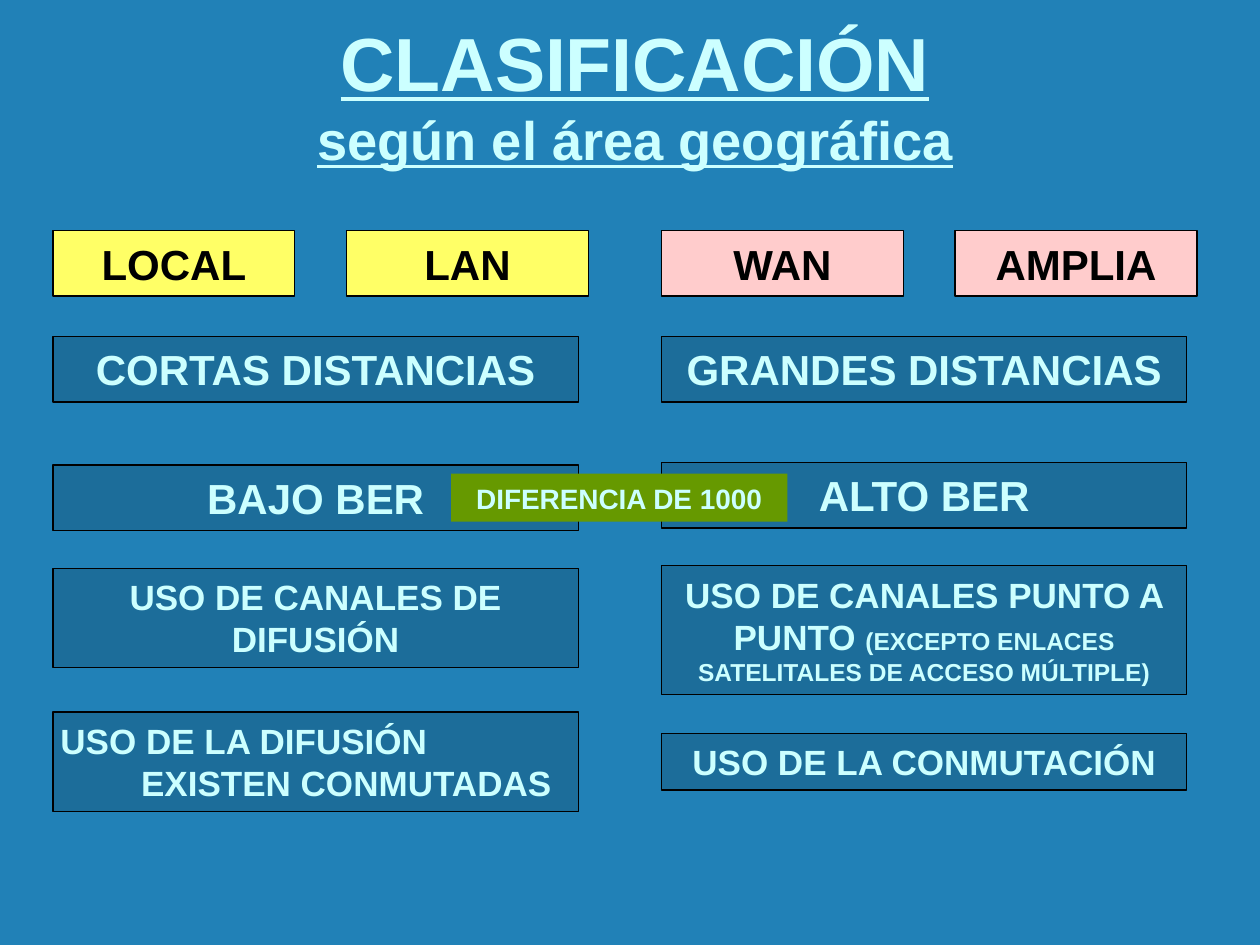
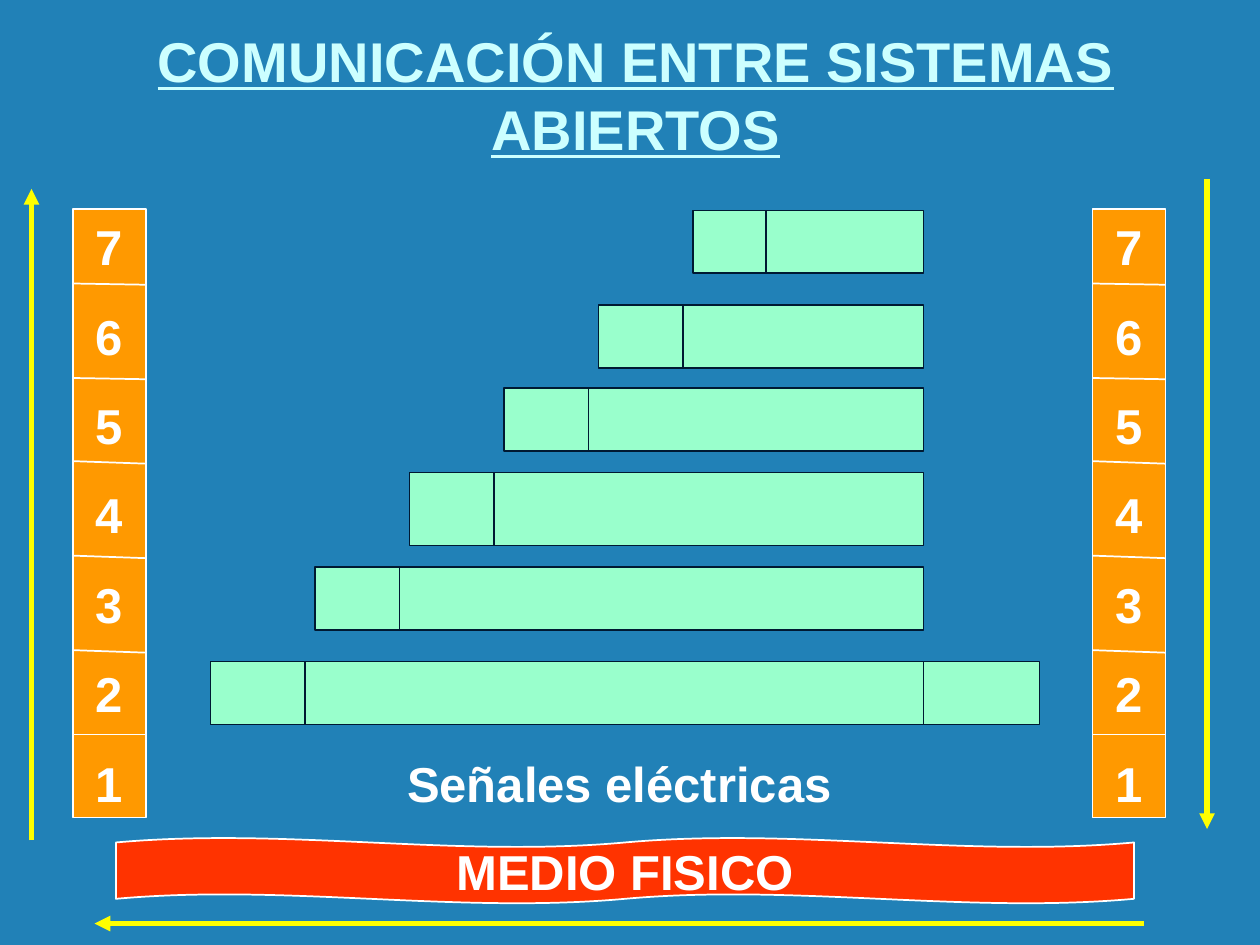
from lxml.etree import SubElement
from pptx import Presentation
from pptx.dml.color import RGBColor
from pptx.enum.shapes import MSO_CONNECTOR, MSO_SHAPE
from pptx.enum.text import MSO_ANCHOR, PP_ALIGN
from pptx.oxml.ns import qn
from pptx.util import Inches, Pt

BLUE, PANEL, ICE = "2181B7", "1C6D9A", "CCFFFF"
YELLOW, PINK, GREEN = "FFFF66", "FFCCCC", "669900"
ORANGE, RED, MINT = "FF9900", "FF3300", "99FFCC"
NAVY, ARROW, WHITE, BLACK = "001932", "FFFF00", "FFFFFF", "000000"


def rgb(color):
    return RGBColor.from_string(color)


def write(tf, paragraphs, size=24, color=ICE, align=PP_ALIGN.CENTER,
          anchor=MSO_ANCHOR.TOP, underline=False, gap=0, indents=()):
    tf.word_wrap = True
    tf.vertical_anchor = anchor
    tf.margin_left = tf.margin_right = Inches(0.06)
    tf.margin_top = tf.margin_bottom = Inches(0.06)
    for i, runs in enumerate(paragraphs):
        p = tf.paragraphs[0] if i == 0 else tf.add_paragraph()
        p.alignment = align
        if i and gap:
            p.space_before = Pt(gap)
        if indents:
            p._p.get_or_add_pPr().set("marL", str(Inches(indents[i])))
        for text, run_size in [(runs, size)] if isinstance(runs, str) else runs:
            r = p.add_run()
            r.text = text
            r.font.name = "Arial"
            r.font.size = Pt(run_size)
            r.font.bold = True
            r.font.underline = underline
            r.font.color.rgb = rgb(color)


class Deck:
    def __init__(self):
        self.prs = Presentation()
        self.prs.slide_width, self.prs.slide_height = Inches(10), Inches(7.5)

    def slide(self):
        self.s = self.prs.slides.add_slide(self.prs.slide_layouts[6])
        self.s.background.fill.solid()
        self.s.background.fill.fore_color.rgb = rgb(BLUE)

    def text(self, x, y, w, h, paragraphs, **fmt):
        box = self.s.shapes.add_textbox(*map(Inches, (x, y, w, h)))
        write(box.text_frame, paragraphs, **fmt)

    def title(self, x, y, w, h, paragraphs, **fmt):
        self.text(x, y, w, h, paragraphs, anchor=MSO_ANCHOR.BOTTOM,
                  underline=True, **fmt)

    def shape(self, x, y, w, h, fill, paragraphs=(), line=BLACK, width=0.75,
              kind=MSO_SHAPE.RECTANGLE, **fmt):
        sp = self.s.shapes.add_shape(kind, *map(Inches, (x, y, w, h)))
        sp.shadow.inherit = False
        sp.fill.solid()
        sp.fill.fore_color.rgb = rgb(fill)
        if line:
            sp.line.color.rgb = rgb(line)
            sp.line.width = Pt(width)
        else:
            sp.line.fill.background()
        if paragraphs:
            write(sp.text_frame, paragraphs, **fmt)
        return sp

    def line(self, x1, y1, x2, y2, color, width=1, arrow=False):
        c = self.s.shapes.add_connector(
            MSO_CONNECTOR.STRAIGHT, *map(Inches, (x1, y1, x2, y2)))
        c.line.color.rgb = rgb(color)
        c.line.width = Pt(width)
        if arrow:
            SubElement(c.line._get_or_add_ln(), qn("a:tailEnd"), type="triangle")
        SubElement(c._element.spPr, qn("a:effectLst"))

    def layer_stack(self, x):
        w = 0.58
        self.shape(x, 1.66, w, 4.83, ORANGE, "7654321", line=WHITE, width=1,
                   size=28, color=WHITE, gap=17.5)
        for y, drop in ((2.25, 0.01), (3, 0.01), (3.66, 0.02),
                        (4.41, 0.02), (5.16, 0.02), (5.83, 0)):
            self.line(x, y, x + w, y + drop, WHITE)

    def data_unit(self, left, y, right, h, dividers):
        self.shape(left, y, right - left, h, MINT, line=NAVY, width=1)
        for x in dividers:
            self.line(x, y, x, y + h, NAVY)


def classification(deck):
    deck.slide()
    deck.title(0.5, 0.05, 9.08, 1.37,
               [[("CLASIFICACIÓN", 43)], [("según el área geográfica", 31)]])
    for x, label, fill in ((0.42, "LOCAL", YELLOW), (2.75, "LAN", YELLOW),
                           (5.25, "WAN", PINK), (7.58, "AMPLIA", PINK)):
        deck.shape(x, 1.83, 1.92, 0.52, fill, [label], color=BLACK)

    point_to_point = [("USO DE CANALES PUNTO A PUNTO ", 20),
                      ("(EXCEPTO ENLACES SATELITALES DE ACCESO MÚLTIPLE)", 14)]
    local = ((2.67, 0.52, 24, "CORTAS DISTANCIAS"),
             (3.69, 0.52, 24, "BAJO BER"),
             (4.51, 0.79, 20, "USO DE CANALES DE DIFUSIÓN"))
    wide = ((2.67, 0.52, 24, "GRANDES DISTANCIAS"),
            (3.67, 0.52, 24, "ALTO BER"),
            (4.49, 1.02, 20, point_to_point),
            (5.82, 0.45, 20, "USO DE LA CONMUTACIÓN"))
    for x, features in ((0.42, local), (5.25, wide)):
        for y, h, size, label in features:
            deck.shape(x, y, 4.17, h, PANEL, [label], size=size)
    deck.shape(0.42, 5.65, 4.17, 0.79, PANEL,
               ["USO DE LA DIFUSIÓN", "EXISTEN CONMUTADAS"],
               size=20, align=PP_ALIGN.LEFT, indents=(0, 0.64))
    deck.shape(3.58, 3.76, 2.67, 0.38, GREEN, ["DIFERENCIA DE 1000"],
               line=None, size=16)


def open_systems(deck):
    deck.slide()
    deck.title(0.17, 0.17, 9.75, 1.17,
               ["COMUNICACIÓN ENTRE SISTEMAS ABIERTOS"], size=32)
    for x in (0.58, 8.67):
        deck.layer_stack(x)
    wave = deck.shape(0.92, 6.65, 8.08, 0.52, RED, ["MEDIO FISICO"],
                      line=WHITE, width=1, kind=MSO_SHAPE.DOUBLE_WAVE,
                      size=28, color=WHITE, anchor=MSO_ANCHOR.MIDDLE)
    wave.adjustments[0] = 0.07

    body_end = 7.33
    for left, y, h, header_end in ((5.5, 1.67, 0.5, 6.08),
                                   (4.75, 2.42, 0.5, 5.42),
                                   (4, 3.08, 0.5, 4.67),
                                   (3.25, 3.75, 0.58, 3.92),
                                   (2.5, 4.5, 0.5, 3.17)):
        deck.data_unit(left, y, body_end, h, [header_end])
    deck.data_unit(1.67, 5.25, 8.25, 0.5, [2.42, body_end])

    deck.text(1.5, 5.92, 6.83, 0.58, ["Señales eléctricas"],
              size=28, color=WHITE)
    for ends in ((9.58, 1.42, 9.58, 6.58), (0.25, 6.67, 0.25, 1.5),
                 (9.08, 7.33, 0.75, 7.33)):
        deck.line(*ends, ARROW, width=3, arrow=True)


def main():
    deck = Deck()
    classification(deck)
    open_systems(deck)
    deck.prs.save("out.pptx")


if __name__ == "__main__":
    main()
